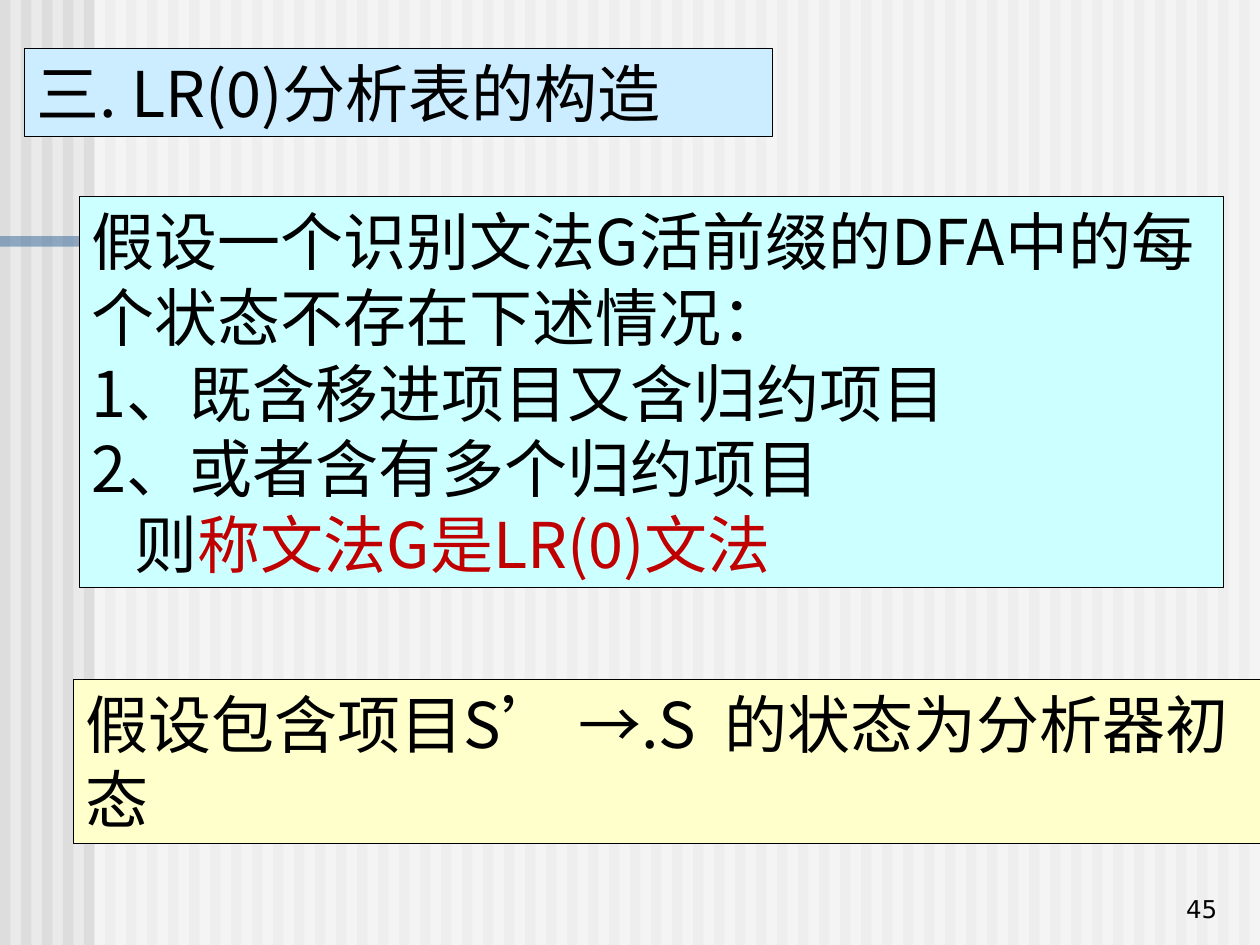
from lxml.etree import SubElement
from pptx import Presentation
from pptx.dml.color import RGBColor
from pptx.enum.shapes import MSO_SHAPE as Preset
from pptx.enum.text import MSO_ANCHOR as Anchor, MSO_AUTO_SIZE as AutoSize, PP_ALIGN as Align
from pptx.oxml.ns import qn
from pptx.util import Inches, Pt

BACKDROP = RGBColor(0xEA, 0xEA, 0xEA)
STRIPE = RGBColor(0xDD, 0xDD, 0xDD)
WHITE = RGBColor(0xFF, 0xFF, 0xFF)
ACCENT = RGBColor(0x33, 0x66, 0x99)
BLACK = RGBColor(0, 0, 0)
RED = RGBColor(0xC0, 0, 0)
TITLE_BLUE = RGBColor(0xCC, 0xEC, 0xFF)
PALE_CYAN = RGBColor(0xCC, 0xFF, 0xFF)
PALE_YELLOW = RGBColor(0xFF, 0xFF, 0xCC)

CJK = "Noto Sans CJK JP"
SERIF = "Times New Roman"
SANS = "DejaVu Sans"
STRIPES = 60

TITLE = [[("三. LR(0)分析表的构造", {})]]
DEFINITION = [
    [("假设一个识别文法G活前缀的DFA中的每个状态不存在下述情况：", {})],
    [("1、既含移进项目又含归约项目", {})],
    [("2、或者含有多个归约项目", {})],
    [("则", {}), ("称文法G是LR(0)文法", {"color": RED})],
]
START_STATE = [[
    ("假设包含项目S", {}),
    ("’", {"name": SERIF}),
    (" →.S", {}),
    (" ", {"spacing": 8}),
    ("的状态为分析器初态", {}),
]]


def inch_box(*lengths):
    """Turn left, top, width and height in inches into lengths."""
    return [Inches(length) for length in lengths]


def place(shape, box):
    """Move a shape into its box."""
    for name, value in zip(("left", "top", "width", "height"), box):
        setattr(shape, name, value)


def add_bar(group, box, color, alpha=None):
    """Add a borderless rectangle, see-through if alpha is given in percent."""
    bar = group.shapes.add_shape(Preset.RECTANGLE, *box)
    bar.shadow.inherit = False
    bar.line.fill.background()
    bar.fill.solid()
    bar.fill.fore_color.rgb = color
    if alpha is not None:
        tint = bar.element.spPr.find(".//" + qn("a:srgbClr"))
        SubElement(tint, qn("a:alpha"), val=str(alpha * 1000))


def add_backdrop(page, width, height):
    """Draw the striped backdrop behind everything else on the page."""
    page.background.fill.solid()
    page.background.fill.fore_color.rgb = BACKDROP
    group = page.shapes.add_group_shape()
    pitch = width / STRIPES
    for column in range(STRIPES):
        add_bar(group, (round(column * pitch), 0, round(pitch / 2), height), STRIPE)
    margin = round(width * 0.075)
    add_bar(group, (margin, 0, width - margin, height), WHITE, 50)
    add_bar(group, (0, round(height * 0.25), round(width * 0.76), round(pitch / 2)), ACCENT, 50)
    page.shapes.element.insert(2, group.element)


def add_span(para, text, look):
    """Add a run of text with its font, colour and letter spacing."""
    span = para.add_run()
    span.text = text
    font = span.font
    for name, value in {"size": Pt(36), "name": look.get("name", CJK)}.items():
        setattr(font, name, value)
    font.color.rgb = look.get("color", BLACK)
    properties = span._r.get_or_add_rPr()
    SubElement(properties, qn("a:ea"), typeface=CJK)
    if "spacing" in look:
        properties.set("spc", str(look["spacing"] * 100))


def fill_panel(shape, box, fill, paragraphs, last_indent=0):
    """Format a shape as an outlined panel and write its paragraphs."""
    place(shape, box)
    shape.fill.solid()
    shape.fill.fore_color.rgb = fill
    shape.line.color.rgb = BLACK
    shape.line.width = Pt(0.25)
    frame = shape.text_frame
    settings = {"word_wrap": True, "auto_size": AutoSize.NONE, "vertical_anchor": Anchor.TOP}
    for name, value in settings.items():
        setattr(frame, name, value)
    for index, spans in enumerate(paragraphs):
        para = frame.paragraphs[0] if index == 0 else frame.add_paragraph()
        para.alignment = Align.LEFT
        para.space_before = Pt(0)
        properties = para._p.get_or_add_pPr()
        indent = last_indent if index == len(paragraphs) - 1 else 0
        properties.set("marL", str(Inches(indent)))
        properties.set("indent", "0")
        SubElement(properties, qn("a:buNone"))
        for text, look in spans:
            add_span(para, text, look)


def add_page_number(page, box, number):
    """Add the right-aligned page number."""
    frame = page.shapes.add_textbox(*box).text_frame
    frame.word_wrap = True
    frame.vertical_anchor = Anchor.BOTTOM
    para = frame.paragraphs[0]
    para.alignment = Align.RIGHT
    para.text = number
    for name, value in {"size": Pt(14), "name": SANS}.items():
        setattr(para.font, name, value)
    para.font.color.rgb = BLACK


def main():
    """Build and save the slide."""
    deck = Presentation()
    deck.slide_width, deck.slide_height = Inches(10), Inches(7.5)
    page = deck.slides.add_slide(deck.slide_layouts[1])
    add_backdrop(page, deck.slide_width, deck.slide_height)
    add_page_number(page, inch_box(7.68, 6.88, 2.08, 0.5), "45")
    fill_panel(page.shapes.title, inch_box(0.19, 0.38, 5.94, 0.7), TITLE_BLUE, TITLE)
    fill_panel(page.placeholders[1], inch_box(0.63, 1.56, 9.08, 3.1), PALE_CYAN, DEFINITION, 0.34)
    start_box = inch_box(0.58, 5.39, 9.42, 1.3)
    start_panel = page.shapes.add_shape(Preset.RECTANGLE, *start_box)
    start_panel.shadow.inherit = False
    fill_panel(start_panel, start_box, PALE_YELLOW, START_STATE)
    deck.save("out.pptx")


if __name__ == "__main__":
    main()
